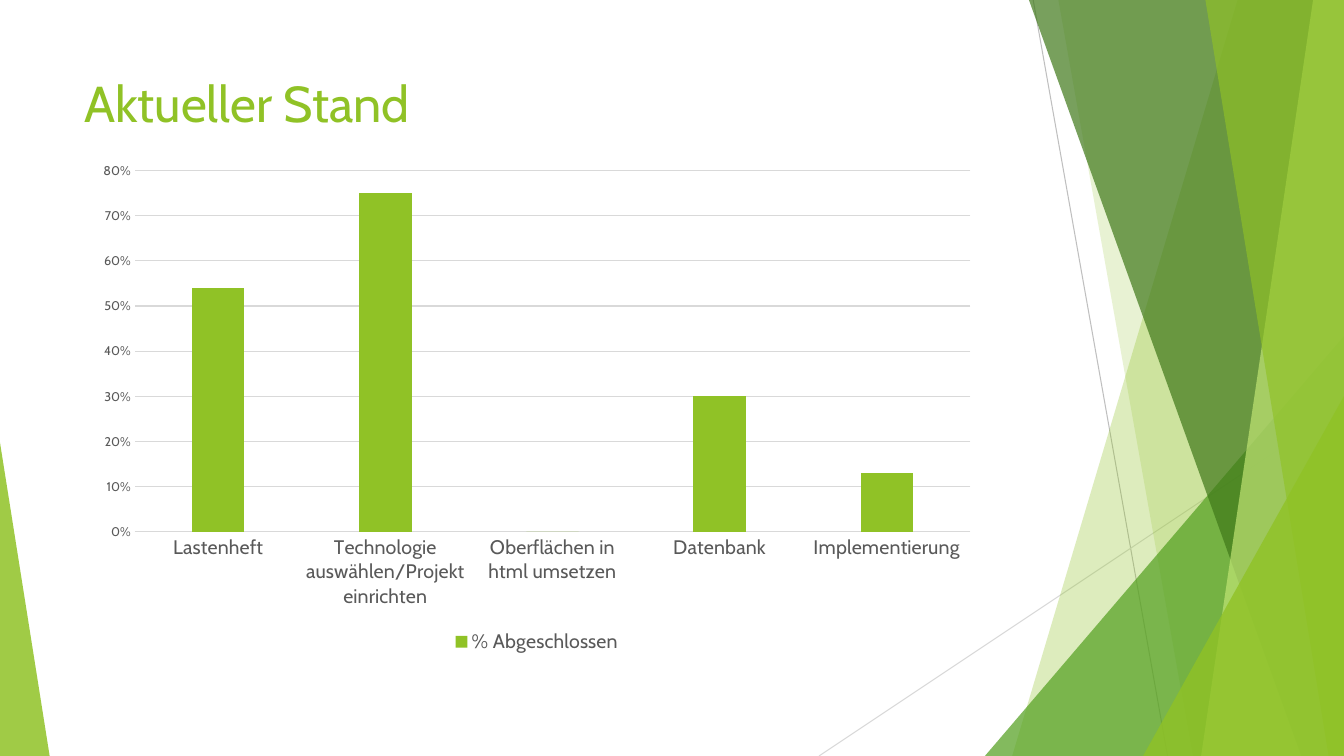
from dataclasses import dataclass
from pptx import Presentation
from pptx.chart.data import CategoryChartData as Data
from pptx.dml.color import RGBColor as RGB
from pptx.enum.chart import XL_CHART_TYPE as Kind, XL_LEGEND_POSITION as Place
from pptx.enum.chart import XL_TICK_MARK as Tick
from pptx.enum.shapes import MSO_CONNECTOR as Line, MSO_SHAPE as Shape
from pptx.enum.text import MSO_ANCHOR as Anchor
from pptx.oxml.ns import qn
from pptx.util import Pt
from lxml.etree import SubElement


@dataclass(frozen=True)
class Theme:
    font: str = "Cabin"
    lime: str = "90C226"
    leaf: str = "54A021"
    moss: str = "3F7819"
    pale: str = "C0E474"
    text: str = "595959"
    grid: str = "D9D9D9"
    rule: str = "BFBFBF"
    title: int = 36
    label: int = 14
    tick: int = 9
    thin: float = 0.75


T = Theme()
WIDE, HIGH = 960, 540


def style(font, size, color):
    font.name = T.font
    font.size = Pt(size)
    font.color.rgb = RGB.from_string(color)


def stroke(line, color):
    line.color.rgb = RGB.from_string(color)
    line.width = Pt(T.thin)


def tint(shape, color, alpha):
    """Fill a facet with a see-through colour, without outline or shadow."""
    shape.shadow.inherit = False
    shape.line.fill.background()
    shape.fill.solid()
    shape.fill.fore_color.rgb = RGB.from_string(color)
    node = shape.fill._xPr.find(qn("a:solidFill"))[0]
    SubElement(node, qn("a:alpha"), val=str(alpha * 1000))


def add_line(slide, x1, y1, x2, y2, color):
    line = slide.shapes.add_connector(Line.STRAIGHT, Pt(x1), Pt(y1), Pt(x2), Pt(y2))
    stroke(line.line, color)
    SubElement(line._element.spPr, qn("a:effectLst"))


def add_band(slide, box, top, foot, color, alpha):
    """Band from a slanted left edge to the right side of the box."""
    x, y, w, h = box
    form = slide.shapes.build_freeform(Pt(x + top), Pt(y))
    form.add_line_segments(
        [(Pt(x + w), Pt(y)), (Pt(x + w), Pt(y + h)), (Pt(x + foot), Pt(y + h))])
    tint(form.convert_to_shape(), color, alpha)


def add_peak(slide, box, left, w, h, apex, color, alpha):
    """Triangle standing on the lower edge of the box."""
    x, y, _, high = box
    peak = slide.shapes.add_shape(
        Shape.ISOSCELES_TRIANGLE, Pt(x + left), Pt(y + high - h), Pt(w), Pt(h))
    peak.adjustments[0] = apex
    tint(peak, color, alpha)


def add_decor(slide, box):
    x, y, w, h = box
    # Thin rules behind the facets
    add_line(slide, x + 738, y, x + 834, y + h, T.rule)
    add_line(slide, x + w, y + 290, x + 585, y + h, T.grid)
    # Facets, back to front
    add_band(slide, box, 884, 723, T.lime, 30)
    add_band(slide, box, 756, 852, T.lime, 20)
    add_peak(slide, box, 703.5, 256.5, 300, 1, T.leaf, 72)
    add_band(slide, box, 735, 929.5, T.moss, 70)
    add_band(slide, box, 938, 858, T.pale, 70)
    add_band(slide, box, 861, 949, T.lime, 65)
    add_peak(slide, box, 816.5, 143.5, 257, 1, T.lime, 80)
    add_peak(slide, box, 0, 35.5, 224, 0, T.lime, 85)


def add_title(slide, box, text):
    frame = slide.shapes.add_textbox(*map(Pt, box)).text_frame
    frame.word_wrap = True
    frame.vertical_anchor = Anchor.TOP
    para = frame.paragraphs[0]
    para.text = text
    style(para.font, T.title, T.lime)


def add_bars(slide, box, name, stand):
    data = Data(number_format='#,##0"%"')
    data.categories = list(stand)
    data.add_series(name, list(stand.values()))
    chart = slide.shapes.add_chart(Kind.COLUMN_CLUSTERED, *map(Pt, box), data).chart
    chart.has_title = False
    style(chart.font, T.label, T.text)

    # Legend
    chart.has_legend = True
    chart.legend.position = Place.BOTTOM
    chart.legend.include_in_layout = False
    style(chart.legend.font, T.label, T.text)

    # Axes
    cat, val = chart.category_axis, chart.value_axis
    for axis, size in ((cat, T.label), (val, T.tick)):
        axis.major_tick_mark = axis.minor_tick_mark = Tick.NONE
        style(axis.tick_labels.font, size, T.text)
    stroke(cat.format.line, T.grid)
    val.format.line.fill.background()
    val.minimum_scale, val.maximum_scale, val.major_unit = 0, 80, 10
    val.tick_labels.number_format = '#,##0"%"'
    val.tick_labels.number_format_is_linked = False
    stroke(val.major_gridlines.format.line, T.grid)

    # Columns
    plot = chart.plots[0]
    plot.vary_by_categories = False
    plot.gap_width, plot.overlap = 219, -27
    fill = plot.series[0].format.fill
    fill.solid()
    fill.fore_color.rgb = RGB.from_string(T.lime)


def main():
    deck = Presentation()
    deck.slide_width, deck.slide_height = Pt(WIDE), Pt(HIGH)
    slide = deck.slides.add_slide(deck.slide_layouts[6])
    add_decor(slide, (0, 0, WIDE, HIGH))
    add_title(slide, (53, 48, 677, 104), "Aktueller Stand")
    add_bars(slide, (61, 109, 645, 361), "% Abgeschlossen", {
        "Lastenheft": 54,
        "Technologie auswählen/Projekt einrichten": 75,
        "Oberflächen in html umsetzen": 0,
        "Datenbank": 30,
        "Implementierung": 13,
    })
    deck.save("out.pptx")


if __name__ == "__main__":
    main()
